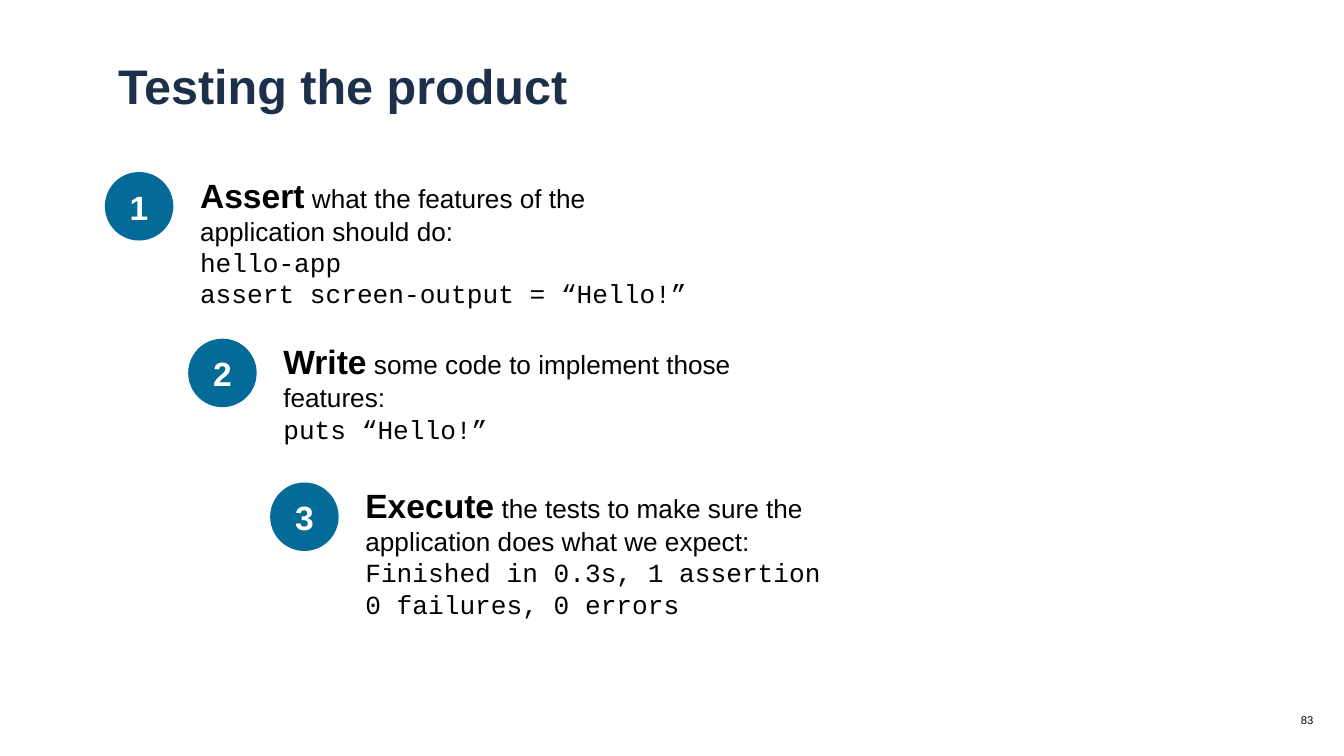
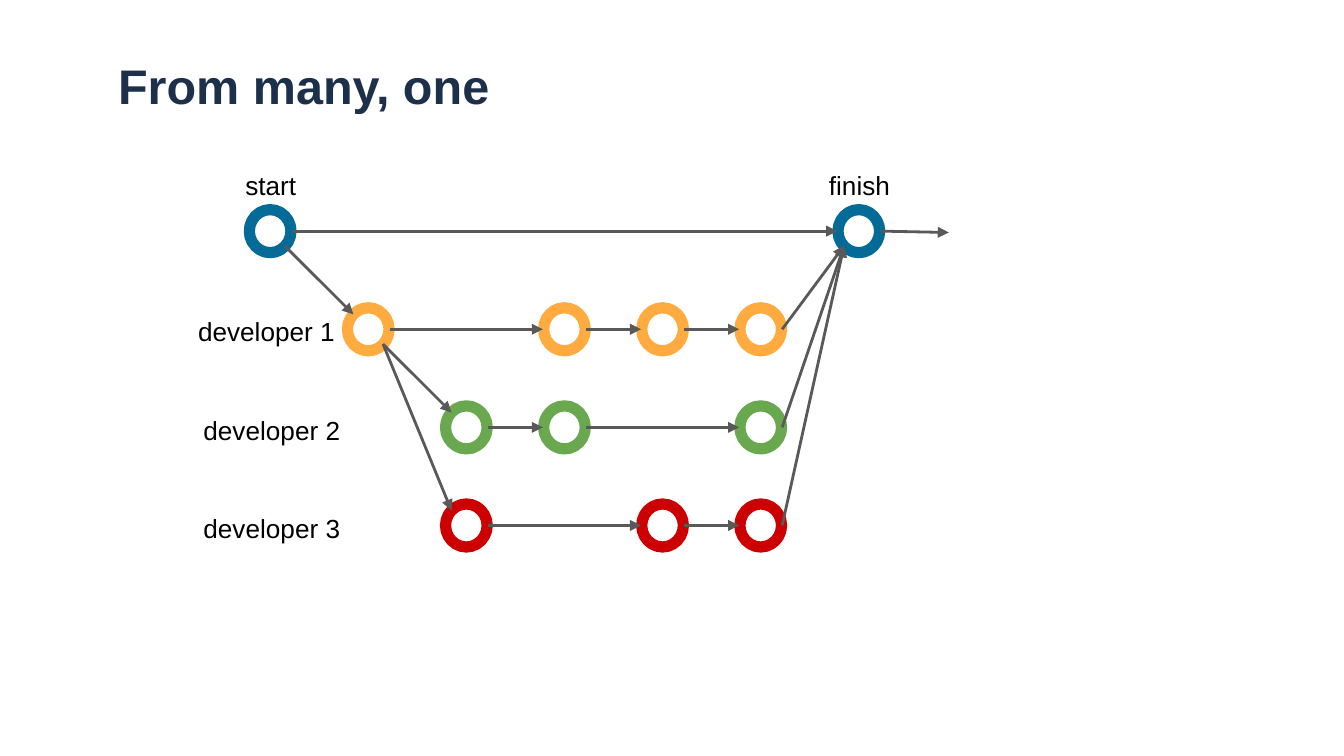
import pptx
import pptx.util
import pptx.dml.color
import pptx.enum.shapes
import pptx.enum.text
import pptx.oxml
import pptx.oxml.ns
from pptx.util import Inches

COLORS = {
    "title": "1C304A",
    "text": "000000",
    "main": "046B99",
    "developer 1": "FFAB40",
    "developer 2": "6AA84F",
    "developer 3": "CC0000",
    "arrow": "595959",
    "white": "FFFFFF",
}
BODY, CODE = "Arial", "Courier New"
ALIGN = pptx.enum.text.PP_ALIGN
ANCHOR = pptx.enum.text.MSO_ANCHOR

STEPS = [
    (0.78, 1.20, 1.24, "Assert", " what the features of the application should do:",
     ["hello-app", "assert screen-output = “Hello!”"]),
    (1.40, 2.44, 1.07, "Write", " some code to implement those features:",
     ["puts “Hello!”"]),
    (2.01, 3.51, 1.07, "Execute", " the tests to make sure the application does what we expect:",
     ["Finished in 0.3s, 1 assertion", "0 failures, 0 errors"]),
]
BADGE = 0.51

PITCH = 0.73
RING_W, RING_H = 0.31, 0.32
FIRST_X, FIRST_Y = 2.01, 1.72
LANES = [
    ("main", [0, 6]),
    ("developer 1", [1, 3, 4, 5]),
    ("developer 2", [2, 3, 5]),
    ("developer 3", [2, 4, 5]),
]
SIDES = {
    "left": (-0.16, 0),
    "right": (0.16, 0),
    "upper left": (-0.11, -0.11),
    "lower left": (-0.11, 0.11),
    "lower right": (0.11, 0.11),
}
BRANCHES = [((0, 0), (1, 1)), ((1, 1), (2, 2)), ((1, 1), (2, 3))]


def rgb(name):
    """Return the named colour."""
    return pptx.dml.color.RGBColor.from_string(COLORS[name])


def node(column, lane, side=None):
    """Return the centre of a commit, or the point on one side of it."""
    dx, dy = SIDES.get(side, (0, 0))
    return FIRST_X + column * PITCH + dx, FIRST_Y + lane * PITCH + dy


class Deck:
    """Hold the shared style and the current slide."""

    def __init__(self):
        """Start an empty widescreen presentation."""
        self.deck = pptx.Presentation()
        self.deck.slide_width = Inches(10)
        self.deck.slide_height = Inches(10) * 9 // 16

    def add_slide(self, title):
        """Add a blank slide with a title."""
        self.slide = self.deck.slides.add_slide(self.deck.slide_layouts[6])
        self.text(0.78, 0.32, 8.08, 0.92, title, 26, "title", bold=True)

    def style(self, target, size, color="text", bold=False, face=BODY):
        """Set the font of a paragraph or run."""
        font = target.font
        font.name, font.size, font.bold = face, pptx.util.Pt(size), bold
        font.color.rgb = rgb(color)

    def frame(self, x, y, w, h, anchor=ANCHOR.TOP, parent=None):
        """Add an empty wrapping text box and return its frame."""
        shapes = (parent or self.slide).shapes
        frame = shapes.add_textbox(Inches(x), Inches(y), Inches(w), Inches(h)).text_frame
        frame.word_wrap = True
        frame.vertical_anchor = anchor
        frame.margin_left = frame.margin_right = Inches(0.1)
        frame.margin_top = frame.margin_bottom = Inches(0.1)
        return frame

    def text(self, x, y, w, h, words, size, color="text", bold=False,
             align=ALIGN.LEFT, anchor=ANCHOR.TOP, parent=None):
        """Add a single paragraph in one style."""
        paragraph = self.frame(x, y, w, h, anchor, parent).paragraphs[0]
        paragraph.text = words
        paragraph.alignment = align
        self.style(paragraph, size, color, bold)

    def ellipse(self, x, y, w, h, fill=None, outline=None, parent=None):
        """Add an ellipse that is either filled or drawn as a ring."""
        shapes = (parent or self.slide).shapes
        oval = shapes.add_shape(pptx.enum.shapes.MSO_SHAPE.OVAL,
                                Inches(x), Inches(y), Inches(w), Inches(h))
        oval.shadow.inherit = False
        if fill:
            oval.fill.solid()
            oval.fill.fore_color.rgb = rgb(fill)
        else:
            oval.fill.background()
        if outline:
            oval.line.color.rgb = rgb(outline)
            oval.line.width = pptx.util.Pt(6)
        else:
            oval.line.fill.background()

    def arrow(self, start, end):
        """Add a straight arrow between two points."""
        line = self.slide.shapes.add_connector(
            pptx.enum.shapes.MSO_CONNECTOR.STRAIGHT, *map(Inches, start + end))
        line.line.color.rgb = rgb("arrow")
        line.line.width = pptx.util.Pt(1.5)
        head = pptx.oxml.parse_xml(
            f'<a:tailEnd {pptx.oxml.ns.nsdecls("a")} type="triangle"/>')
        line.line._get_or_add_ln().append(head)
        effects = pptx.oxml.parse_xml(f'<a:effectLst {pptx.oxml.ns.nsdecls("a")}/>')
        line._element.spPr.append(effects)

    def step(self, number, x, y, h, verb, rest, code_lines):
        """Add a numbered badge with its explanation and code."""
        badge = self.slide.shapes.add_group_shape()
        self.ellipse(x, y + 0.08, BADGE, BADGE, fill="main", parent=badge)
        self.text(x, y + 0.09, BADGE, 0.46, str(number), 18, "white", True,
                  ALIGN.CENTER, parent=badge)
        frame = self.frame(x + 0.61, y, 3.85, h)
        lead = frame.paragraphs[0]
        for words, size, bold in ((verb, 18, True), (rest, 14, False)):
            run = lead.add_run()
            run.text = words
            self.style(run, size, bold=bold)
        for code in code_lines:
            paragraph = frame.add_paragraph()
            paragraph.text = code
            self.style(paragraph, 14, face=CODE)


def testing_slide(deck):
    """Build the three testing steps."""
    deck.add_slide("Testing the product")
    deck.text(9.27, 5.21, 0.6, 0.29, "83", 6, align=ALIGN.RIGHT, anchor=ANCHOR.MIDDLE)
    for number, step in enumerate(STEPS, 1):
        deck.step(number, *step)


def branches_slide(deck):
    """Build the diagram of branches that merge into one line."""
    deck.add_slide("From many, one")
    for lane, (owner, columns) in enumerate(LANES):
        for column in columns:
            x, y = node(column, lane)
            deck.ellipse(x - RING_W / 2, y - RING_H / 2, RING_W, RING_H, outline=owner)
    for lane, (owner, columns) in enumerate(LANES):
        for begin, end in zip(columns, columns[1:]):
            deck.arrow(node(begin, lane, "right"), node(end, lane, "left"))
    for begin, end in BRANCHES:
        deck.arrow(node(*begin, "lower right"), node(*end, "upper left"))
    for lane in (1, 2, 3):
        deck.arrow(node(5, lane, "right"), node(6, 0, "lower left"))
    deck.arrow(node(6, 0, "right"), (7.06, 1.73))
    for words, column in (("start", 0), ("finish", 6)):
        deck.text(node(column, 0)[0] - 0.84, 1.16, 1.69, 0.4, words, 14,
                  align=ALIGN.CENTER)
    for lane, x in ((1, 0.9), (2, 0.94), (3, 0.94)):
        deck.text(x, node(0, lane)[1] - 0.2, 1.69, 0.4, LANES[lane][0], 14,
                  align=ALIGN.RIGHT)


def main():
    """Build and save the presentation."""
    deck = Deck()
    testing_slide(deck)
    branches_slide(deck)
    deck.deck.save("out.pptx")


if __name__ == "__main__":
    main()
